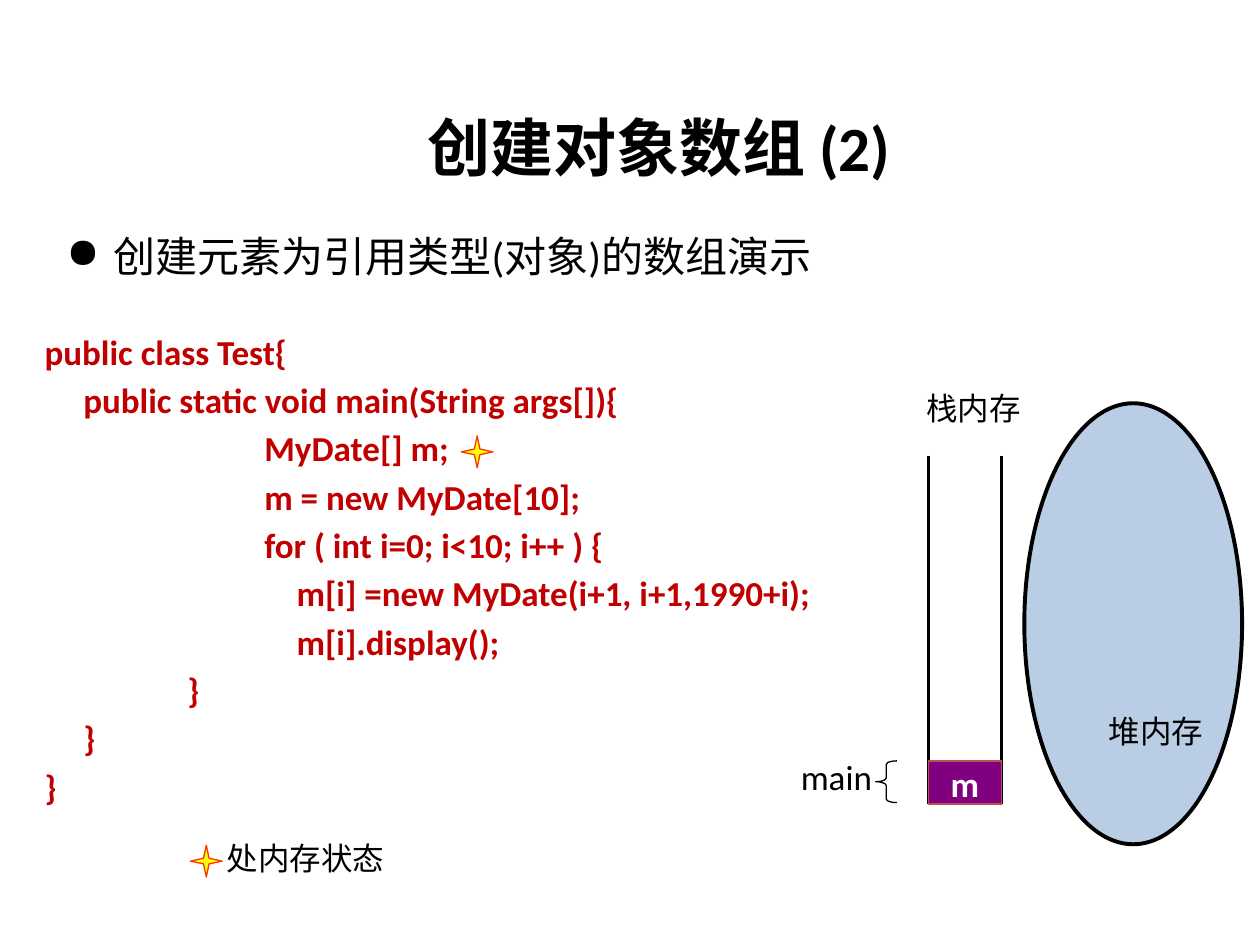
from lxml import etree
from pptx import Presentation
from pptx.dml.color import RGBColor
from pptx.enum import shapes, text
from pptx.oxml.ns import qn
from pptx.util import Cm, Pt

BLACK, WHITE, CODE_RED = "000000", "FFFFFF", "C00000"
LEFT, CENTER, RIGHT = text.PP_ALIGN.LEFT, text.PP_ALIGN.CENTER, text.PP_ALIGN.RIGHT
SHAPE = shapes.MSO_SHAPE

# Indent in cm and text of each code line
CODE = [
    (0.65, "public class Test{"),
    (1.43, "public static void main(String args[]){"),
    (5.08, "MyDate[] m;"),
    (5.08, "m = new MyDate[10];"),
    (5.08, "for ( int i=0; i<10; i++ ) {"),
    (5.73, "m[i] =new MyDate(i+1, i+1,1990+i);"),
    (5.73, "m[i].display();"),
    (3.53, "}"),
    (1.43, "}"),
    (0.65, "}"),
]


def color(value):
    return RGBColor.from_string(value)


def add_text(slide, box, lines, size, ink=BLACK, bold=False, align=LEFT, pad=0.13):
    """Add a text box with one paragraph per line and return its paragraphs."""
    frame = slide.shapes.add_textbox(*map(Cm, box)).text_frame
    settings = {"word_wrap": True, "margin_top": Cm(pad), "margin_bottom": Cm(pad)}
    for name, value in settings.items():
        setattr(frame, name, value)
    frame.text = "\n".join(lines)
    font_format = {"name": "Calibri", "size": Pt(size), "bold": bold}
    for paragraph in frame.paragraphs:
        paragraph.alignment = align
        font = paragraph.runs[0].font
        font.color.rgb = color(ink)
        for name, value in font_format.items():
            setattr(font, name, value)
    return frame.paragraphs


def add_figure(slide, kind, box, line, width=0.75, fill=None, adjustments=()):
    figure = slide.shapes.add_shape(kind, *map(Cm, box))
    figure.shadow.inherit = False
    for index, value in enumerate(adjustments):
        figure.adjustments[index] = value
    if fill:
        figure.fill.solid()
        figure.fill.fore_color.rgb = color(fill)
    else:
        figure.fill.background()
    figure.line.color.rgb = color(line)
    figure.line.width = Pt(width)


def add_line(slide, *ends):
    line = slide.shapes.add_connector(shapes.MSO_CONNECTOR.STRAIGHT, *map(Cm, ends))
    line.line.color.rgb = color(BLACK)
    line.line.width = Pt(1.5)
    etree.SubElement(line._element.spPr, qn("a:effectLst"))


def add_star(slide, left, top):
    add_figure(slide, SHAPE.STAR_4_POINT, (left, top, 0.64, 0.64), "FF3300",
               fill="FFFF00", adjustments=[0.125])


def add_code(slide):
    lines = [line for _, line in CODE]
    paragraphs = add_text(slide, (0, 6.53, 19.81, 10.34), lines, 20, CODE_RED, True)
    for paragraph, (indent, _) in zip(paragraphs, CODE):
        paragraph.space_before = Pt(3.6)
        paragraph._p.get_or_add_pPr().set("marL", str(Cm(indent)))


def add_bullet(slide, box, line):
    properties = add_text(slide, box, [line], 24)[0]._p.get_or_add_pPr()
    properties.set("marL", str(Cm(0.95)))
    properties.set("indent", str(Cm(-0.95)))
    etree.SubElement(properties, qn("a:buChar")).set("char", "●")


def add_stack(slide):
    left, right, top, bottom = 18.72, 20.19, 9.19, 16.21
    slot_top = 15.34
    for x in (left, right):
        add_line(slide, x, top, x, bottom)
    add_line(slide, left, bottom, right, bottom)
    add_figure(slide, SHAPE.LEFT_BRACE, (17.65, slot_top, 0.43, 0.84), BLACK,
               adjustments=[0.167, 0.5])
    add_text(slide, (15.29, 15.11, 2.54, 1.09), ["main"], 20, align=RIGHT)
    add_text(slide, (17.45, 7.72, 3.38, 1.02), ["栈内存"], 18, align=RIGHT)
    add_figure(slide, SHAPE.RECTANGLE, (left, slot_top, right - left, bottom - slot_top),
               "C0504D", fill="800080")
    add_text(slide, (left, 15.37, 1.27, 0.84), ["m"], 20, WHITE, True, RIGHT, pad=0)


def add_heap(slide):
    add_figure(slide, SHAPE.OVAL, (20.65, 8.13, 4.39, 8.89), BLACK, 2.25, "B9CDE5")
    add_text(slide, (19.63, 14.22, 4.88, 1.02), ["堆内存"], 18, align=RIGHT)


def main():
    deck = Presentation()
    deck.slide_width, deck.slide_height = Cm(25.4), Cm(19.05)
    slide = deck.slides.add_slide(deck.slide_layouts[6])

    # Code and memory diagram
    add_code(slide)
    add_stack(slide)
    add_heap(slide)

    # Heading and topic
    add_text(slide, (6.93, 2.05, 12.7, 2.01), ["创建对象数组 (2)"], 36, bold=True, align=CENTER)
    add_bullet(slide, (1.09, 4.52, 16, 1.27), "创建元素为引用类型(对象)的数组演示")

    # Star marks the code line whose memory state is shown
    add_text(slide, (2.49, 16.92, 5.51, 0.76), ["处内存状态"], 18, align=RIGHT, pad=0)
    add_star(slide, 3.84, 17.04)
    add_star(slide, 9.3, 8.79)

    deck.save("out.pptx")


if __name__ == "__main__":
    main()
